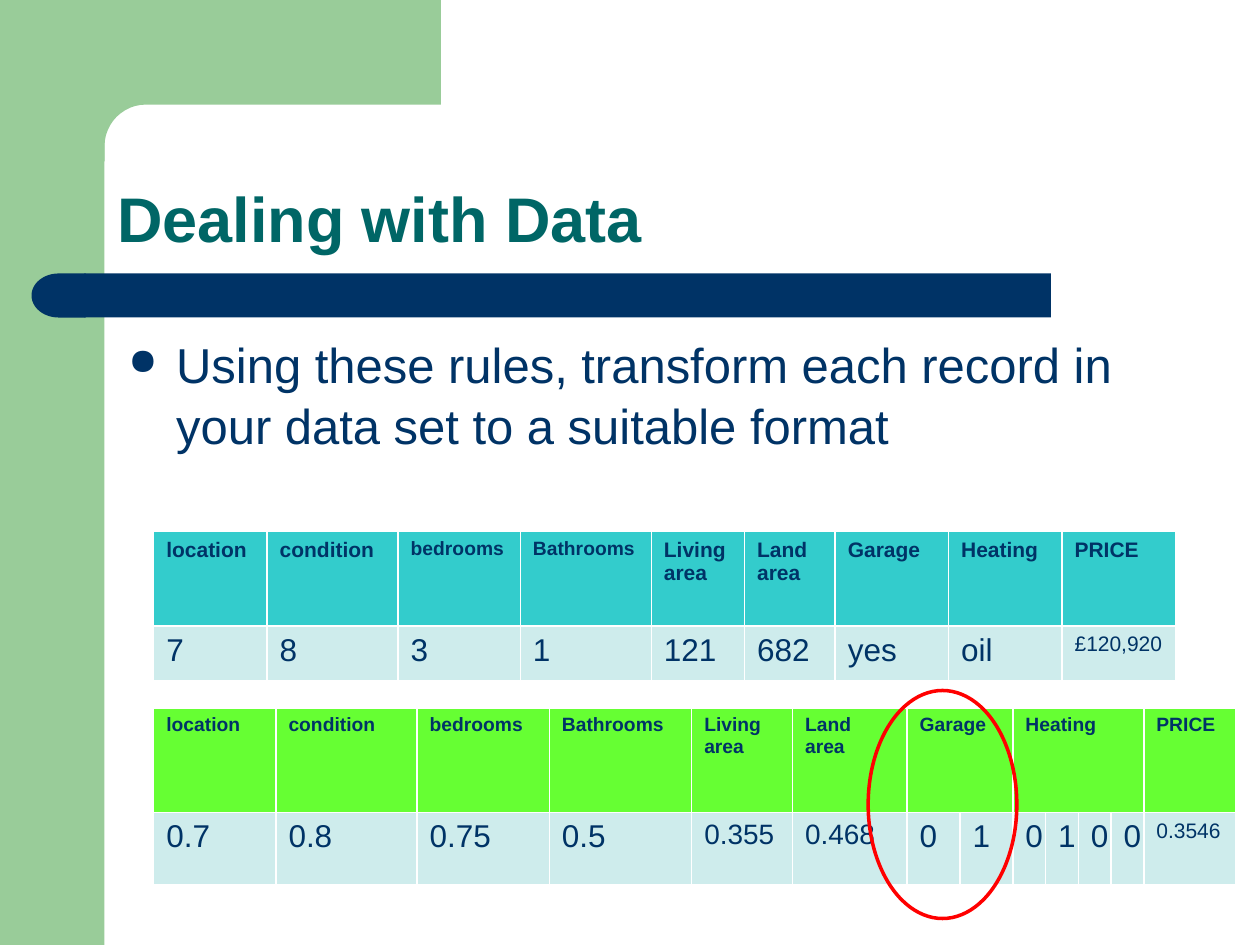
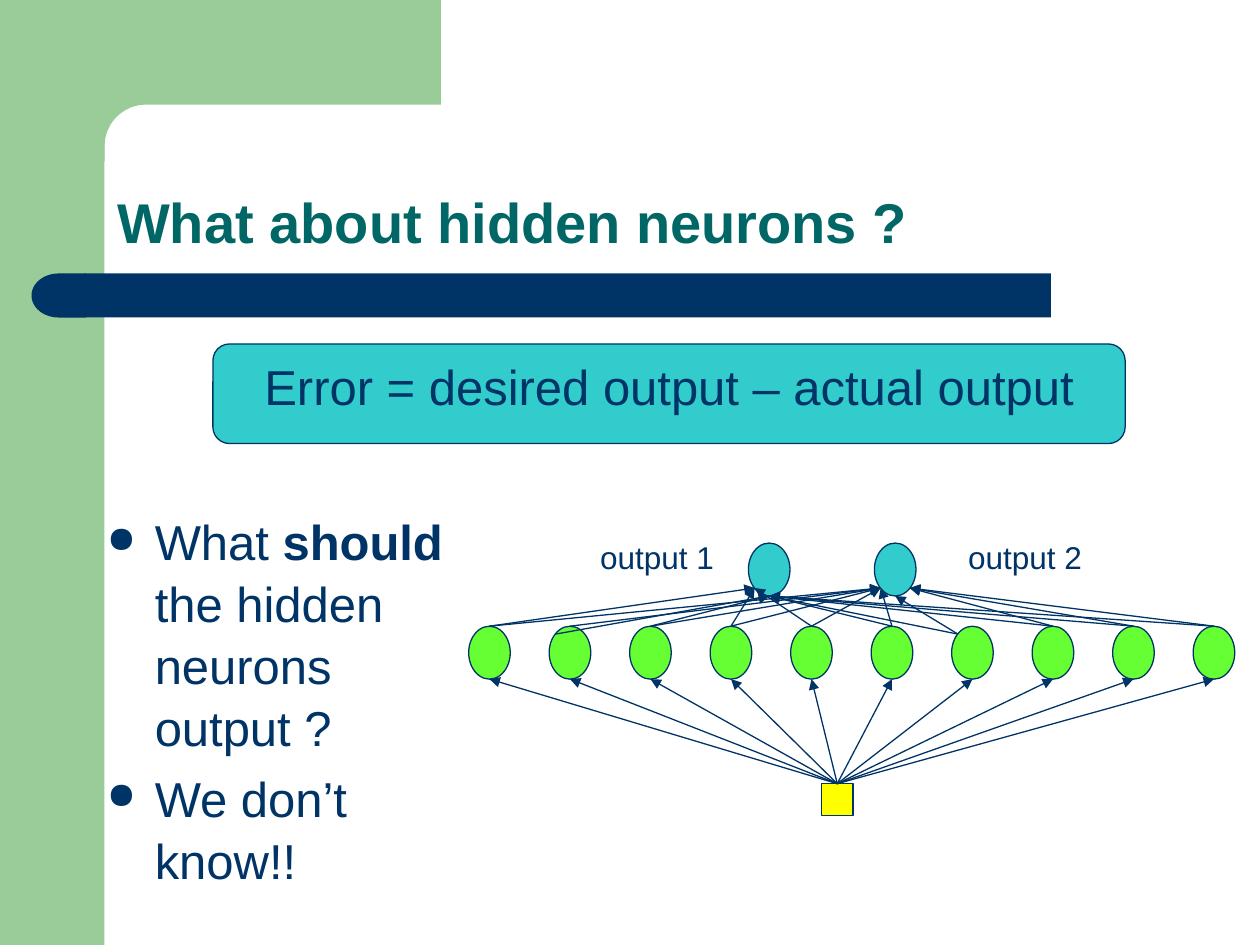
from dataclasses import dataclass
from math import cos, pi, sin
from typing import NamedTuple

from lxml import etree
from pptx import Presentation
from pptx.dml.color import RGBColor
from pptx.enum.shapes import MSO_CONNECTOR, MSO_SHAPE
from pptx.enum.text import MSO_ANCHOR, PP_ALIGN
from pptx.oxml.ns import qn
from pptx.util import Inches, Pt

RECT, OVAL = MSO_SHAPE.RECTANGLE, MSO_SHAPE.OVAL
ROUND, DELAY = MSO_SHAPE.ROUNDED_RECTANGLE, MSO_SHAPE.FLOWCHART_DELAY
STRAIGHT = MSO_CONNECTOR.STRAIGHT
LEFT, CENTER = PP_ALIGN.LEFT, PP_ALIGN.CENTER
MIDDLE, BOTTOM = MSO_ANCHOR.MIDDLE, MSO_ANCHOR.BOTTOM


@dataclass(frozen=True)
class Theme:
    """Colours and type sizes shared by the slides."""
    font: str = "Arial"
    navy: RGBColor = RGBColor(0x00, 0x33, 0x66)
    teal: RGBColor = RGBColor(0x00, 0x66, 0x66)
    sage: RGBColor = RGBColor(0x99, 0xCC, 0x99)
    aqua: RGBColor = RGBColor(0x33, 0xCC, 0xCC)
    pale: RGBColor = RGBColor(0xCE, 0xEC, 0xEC)
    lime: RGBColor = RGBColor(0x66, 0xFF, 0x33)
    yellow: RGBColor = RGBColor(0xFF, 0xFF, 0x00)
    red: RGBColor = RGBColor(0xFF, 0x00, 0x00)
    title: int = 36
    body: int = 28
    label: int = 18
    value: int = 16
    head: int = 12
    small: int = 11
    thin: float = 0.75
    thick: int = 2


class Box(NamedTuple):
    """A region in inches."""
    left: float
    top: float
    width: float
    height: float

    def spot(self, across, down):
        """Return the point at the given fractions of the region."""
        return self.left + across * self.width, self.top + down * self.height

    def emu(self):
        """Return the region as lengths."""
        return [Inches(side) for side in self]


THEME = Theme()
SITES = {"top": (0.5, 0), "corner": (0.15, 0.15), "L": (0.15, 0.85),
         "B": (0.5, 1), "R": (0.85, 0.85)}


def style(run, size, color=THEME.navy, bold=False):
    """Format one run."""
    run.font.name = THEME.font
    run.font.size = Pt(size)
    run.font.bold = bold
    run.font.color.rgb = color


def write(frame, text, size, align=LEFT, color=THEME.navy, bold=False):
    """Put one formatted paragraph into a frame."""
    frame.text = text
    para = frame.paragraphs[0]
    para.alignment = align
    style(para.runs[0], size, color, bold)
    return para


def paint(shape, fill=None, line=None, width=THEME.thin):
    """Set the fill and outline of a shape."""
    shape.shadow.inherit = False
    if fill is None:
        shape.fill.background()
    else:
        shape.fill.solid()
        shape.fill.fore_color.rgb = fill
    if line is None:
        shape.line.fill.background()
    else:
        shape.line.color.rgb = line
        shape.line.width = Pt(width)


def draw(slide, kind, box, fill=None, line=None, width=THEME.thin):
    """Add one preset shape."""
    shape = slide.shapes.add_shape(kind, *box.emu())
    paint(shape, fill, line, width)
    return shape


def arrow(slide, start, end):
    """Add a thin arrow between two points."""
    link = slide.shapes.add_connector(
        STRAIGHT, *[Inches(side) for side in (*start, *end)])
    link.line.color.rgb = THEME.navy
    link.line.width = Pt(THEME.thin)
    etree.SubElement(link.line._get_or_add_ln(), qn("a:tailEnd"), type="triangle")
    etree.SubElement(link._element.spPr, qn("a:effectLst"))
    return link


def frame_art(slide, box):
    """Draw the green frame and the navy band."""
    side, edge, bend = 0.83, 3.5, 0.33
    draw(slide, RECT, Box(box.left, box.top, side, box.height), THEME.sage)
    mid = side + bend
    arc = [(mid - bend * sin(step * pi / 24), mid - bend * cos(step * pi / 24))
           for step in range(13)]
    points = [(edge, 0), (edge, side), *arc, (side, 1.28), (0.5, 1.28), (0.5, 0)]
    points = [(Inches(box.left + x), Inches(box.top + y)) for x, y in points]
    pen = slide.shapes.build_freeform(*points[0])
    pen.add_line_segments(points[1:], close=True)
    paint(pen.convert_to_shape(), THEME.sage)
    band = box.top + 2.17
    draw(slide, RECT, Box(box.left + 0.67, band, 7.67, 0.35), THEME.navy)
    cap = draw(slide, DELAY, Box(box.left + 0.25, band, 0.43, 0.35), THEME.navy)
    cap.rotation = 180


def set_title(slide, box, text, size):
    """Place and format the title."""
    title = slide.shapes.title
    title.left, title.top, title.width, title.height = box.emu()
    title.text_frame.word_wrap = True
    title.text_frame.vertical_anchor = BOTTOM
    para = write(title.text_frame, text, size, LEFT, THEME.teal, True)
    para.line_spacing = 0.9


def bullets(slide, box, items):
    """Add a bulleted list whose items are lists of (text, bold)."""
    frame = slide.shapes.add_textbox(*box.emu()).text_frame
    frame.word_wrap = True
    for index, item in enumerate(items):
        para = frame.add_paragraph() if index else frame.paragraphs[0]
        props = para._p.get_or_add_pPr()
        props.set("marL", str(Inches(0.38)))
        props.set("indent", str(Inches(-0.38)))
        tint = etree.SubElement(props, qn("a:buClr"))
        etree.SubElement(tint, qn("a:srgbClr"), val=str(THEME.navy))
        etree.SubElement(props, qn("a:buSzPct"), val="75000")
        etree.SubElement(props, qn("a:buChar"), char="●")
        para.line_spacing = 1.05
        if index:
            para.space_before = Pt(0.2 * THEME.body)
        for text, bold in item:
            run = para.add_run()
            run.text = text
            style(run, THEME.body, bold=bold)


def grid(slide, box, widths, heights, fill, heads, values):
    """Add a record table; heads are (text, size, span), values (text, size)."""
    table = slide.shapes.add_table(2, len(widths), *box.emu()).table
    for column, width in zip(table.columns, widths):
        column.width = Inches(width)
    for row, height in zip(table.rows, heights):
        row.height = Inches(height)
    for row, color in enumerate((fill, THEME.pale)):
        for cell in table.rows[row].cells:
            cell.fill.solid()
            cell.fill.fore_color.rgb = color
    start = 0
    for text, size, span in heads:
        cell = table.cell(0, start)
        if span > 1:
            cell.merge(table.cell(0, start + span - 1))
        write(cell.text_frame, text, size, bold=True)
        start += span
    for index, (text, size) in enumerate(values):
        write(table.cell(1, index).text_frame, text, size)


def formula(slide, box, text):
    """Add the rounded formula box."""
    panel = draw(slide, ROUND, box, THEME.aqua, THEME.navy)
    frame = panel.text_frame
    frame.word_wrap = False
    frame.vertical_anchor = MIDDLE
    frame.margin_bottom = Inches(0.17)
    write(frame, text, THEME.body, CENTER)


def label(slide, box, text):
    """Add a centred label."""
    frame = slide.shapes.add_textbox(*box.emu()).text_frame
    frame.word_wrap = False
    frame.vertical_anchor = MIDDLE
    write(frame, text, THEME.label, CENTER)


def network(slide, box):
    """Draw the input, hidden and output nodes with their links."""
    wide, tall, count = 0.33, 0.42, 10
    gap = (box.width - wide) / (count - 1)
    outs = [Box(box.left + 2.22 + i, box.top + 0.09, wide, tall) for i in range(2)]
    hidden = [Box(box.left + i * gap, box.top + 0.75, wide, tall)
              for i in range(count)]
    for nodes, fill in ((outs, THEME.aqua), (hidden, THEME.lime)):
        for node in nodes:
            draw(slide, OVAL, node, fill, THEME.navy)
    for i, left in enumerate((0.94, 3.86)):
        label(slide, Box(box.left + left, box.top, 1.11, 0.4), f"output {i + 1}")
    place = Box(box.left + 2.8, box.top + 2, 0.25, 0.25)
    source = draw(slide, RECT, place, THEME.yellow, THEME.navy)
    for node in hidden:
        link = arrow(slide, place.spot(0.5, 0), node.spot(*SITES["B"]))
        link.begin_connect(source, 0)
    corners = {(0, 1), (0, 6), (1, 6)}
    for i, ends in enumerate(("LBBLLBBBBB", "LLLLLLBRRR")):
        for j, end in enumerate(ends):
            start = "corner" if (i, j) in corners else "top"
            arrow(slide, hidden[j].spot(*SITES[start]), outs[i].spot(*SITES[end]))


def new_slide(deck, title, size):
    """Add a slide with the shared frame and title."""
    slide = deck.slides.add_slide(deck.slide_layouts[5])
    frame_art(slide, Box(0, 0, 10, 7.5))
    set_title(slide, Box(0.83, 0.83, 8.67, 1.25), title, size)
    return slide


def data_slide(deck):
    """Build the slide that turns a record into numbers."""
    slide = new_slide(deck, "Dealing with Data", THEME.title)
    bullets(slide, Box(0.92, 2.58, 8.34, 1.64), [[(
        "Using these rules, transform each record in your data set "
        "to a suitable format", False)]])
    names = ["location", "condition", "bedrooms", "Bathrooms", "Living area",
             "Land area", "Garage", "Heating", "PRICE"]
    small = ("bedrooms", "Bathrooms")
    heads = [(name, THEME.small if name in small else THEME.head, 1)
             for name in names]
    record = ["7", "8", "3", "1", "121", "682", "yes", "oil"]
    values = [(text, THEME.label) for text in record] + [("£120,920", THEME.head)]
    grid(slide, Box(1.22, 4.22, 8.11, 1.18),
         [0.9, 1.04, 0.97, 1.04, 0.74, 0.72] + [0.9] * 3, [0.75, 0.43],
         THEME.aqua, heads, values)
    spans = {"Garage": 2, "Heating": 4}
    heads = [(name, THEME.small, spans.get(name, 1)) for name in names]
    sizes = {"0.355": THEME.value, "0.468": THEME.value, "0.3546": THEME.head}
    record = ["0.7", "0.8", "0.75", "0.5", "0.355", "0.468", *"010100", "0.3546"]
    values = [(text, sizes.get(text, THEME.label)) for text in record]
    grid(slide, Box(1.22, 5.62, 8.58, 1.4),
         [0.97, 1.12, 1.05, 1.13, 0.8, 0.91] + [0.42] * 2 + [0.26] * 4 + [0.73],
         [0.83, 0.57], THEME.lime, heads, values)
    draw(slide, OVAL, Box(6.89, 5.48, 1.18, 1.81), None, THEME.red, THEME.thick)


def neuron_slide(deck):
    """Build the slide about hidden neurons."""
    slide = new_slide(deck, "What about hidden neurons ?", 32)
    formula(slide, Box(1.69, 2.73, 7.24, 0.79),
            "Error = desired output – actual output")
    network(slide, Box(3.72, 4.22, 6.08, 2.25))
    bullets(slide, Box(0.75, 3.99, 2.99, 3.71), [
        [("What ", False), ("should ", True),
         ("the hidden neurons output ?", False)],
        [("We don’t know!!", False)]])


def main():
    """Build and save the deck."""
    deck = Presentation()
    deck.slide_width, deck.slide_height = Inches(10), Inches(7.5)
    data_slide(deck)
    neuron_slide(deck)
    deck.save("out.pptx")


if __name__ == "__main__":
    main()
